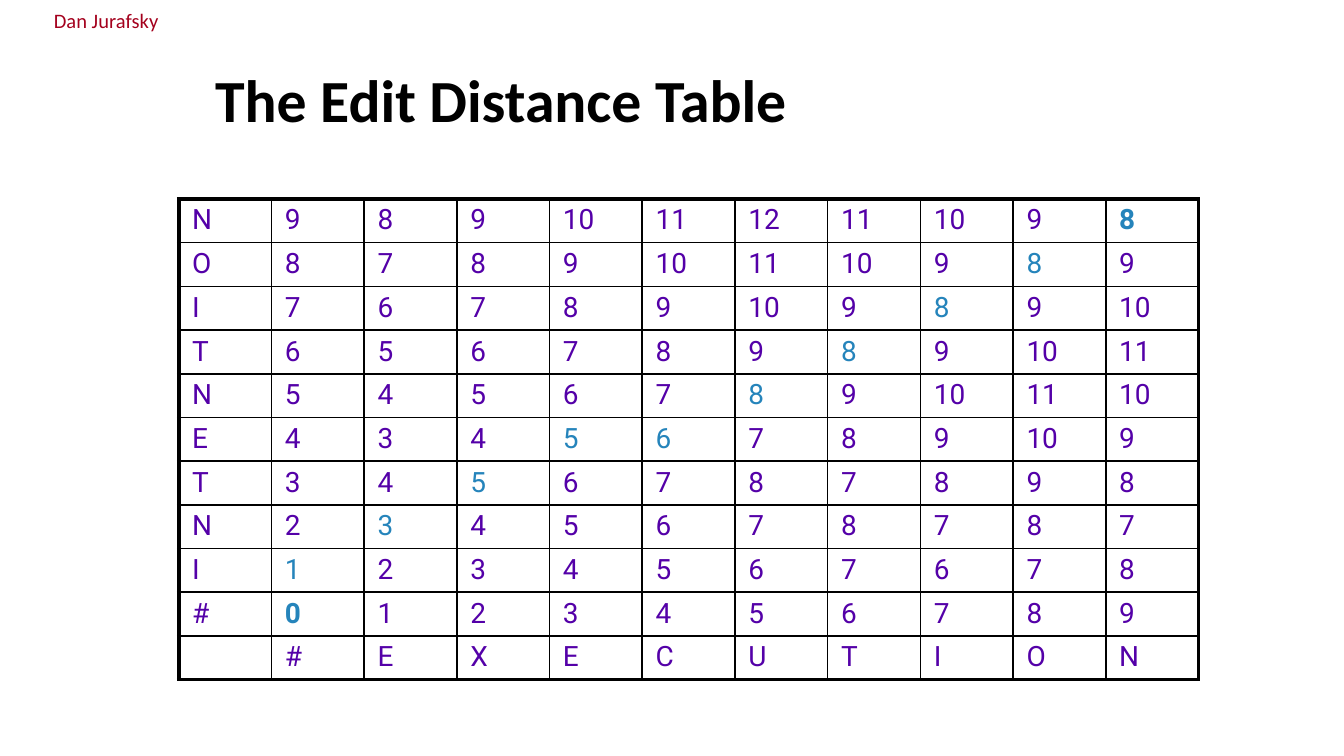
"""Build the slide with the edit distance table of INTENTION and EXECUTION."""
from lxml import etree
from pptx import Presentation
from pptx import util as u
from pptx.dml.color import RGBColor
from pptx.enum import text
from pptx.oxml.ns import qn

COLORS = {"author": "A4001D", "title": "000000", "border": "000000",
          "value": "5400A8", "path": "2584BB"}
WIDTH = u.Inches(10)
HEIGHT = WIDTH * 9 // 16
COLUMN, ROW = u.Inches(0.69), u.Inches(3.58 / 11)
THIN, THICK = u.Pt(1), u.Pt(2.25)
CELL_SIZE = 15

DISTANCES = [
    "N 9 8 9 10 11 12 11 10 9 8",
    "O 8 7 8 9 10 11 10 9 8 9",
    "I 7 6 7 8 9 10 9 8 9 10",
    "T 6 5 6 7 8 9 8 9 10 11",
    "N 5 4 5 6 7 8 9 10 11 10",
    "E 4 3 4 5 6 7 8 9 10 9",
    "T 3 4 5 6 7 8 7 8 9 8",
    "N 2 3 4 5 6 7 8 7 8 7",
    "I 1 2 3 4 5 6 7 6 7 8",
    "# 0 1 2 3 4 5 6 7 8 9",
]
HEADINGS = ["", *"#EXECUTION"]
PATH = {(0, 10), (1, 9), (2, 8), (3, 7), (4, 6), (5, 5), (5, 4),
        (6, 3), (7, 2), (8, 1), (9, 1)}
PATH_ENDS = {(0, 10), (9, 1)}


def add_run(paragraph, wording, font, size, color, bold=False):
    run = paragraph.add_run()
    run.text = wording
    run.font.name, run.font.size, run.font.bold = font, u.Pt(size), bold
    run.font.color.rgb = RGBColor.from_string(COLORS[color])


def add_author(slide):
    box = slide.shapes.add_textbox(u.Inches(0.08), u.Inches(0.01), u.Inches(1.42), u.Inches(0.29))
    frame = box.text_frame
    frame.word_wrap = True
    frame.margin_left = frame.margin_right = 0
    frame.paragraphs[0].alignment = text.PP_ALIGN.CENTER
    add_run(frame.paragraphs[0], "Dan Jurafsky", "Calibri", 11, "author")


def set_title(slide, wording):
    title = slide.shapes.title
    title.left, title.top = u.Inches(1.5), u.Inches(0.42)
    title.width, title.height = u.Inches(8.17), u.Inches(0.81)
    frame = title.text_frame
    frame.auto_size = text.MSO_AUTO_SIZE.NONE
    frame.vertical_anchor = text.MSO_ANCHOR.TOP
    frame.paragraphs[0].alignment = text.PP_ALIGN.LEFT
    add_run(frame.paragraphs[0], wording, "Calibri", 32, "title", bold=True)


def set_borders(cell, outer_sides):
    properties = cell._tc.get_or_add_tcPr()
    for position, side in enumerate("LRTB"):
        width = THICK if side in outer_sides else THIN
        line = etree.Element(qn(f"a:ln{side}"), w=str(int(width)))
        fill = etree.SubElement(line, qn("a:solidFill"))
        etree.SubElement(fill, qn("a:srgbClr"), val=COLORS["border"])
        properties.insert(position, line)


def fill_cell(cell, wording, color, bold):
    cell.fill.background()
    cell.margin_left = cell.margin_right = u.Inches(0.1)
    cell.margin_top = cell.margin_bottom = u.Pt(2.7)
    paragraph = cell.text_frame.paragraphs[0]
    if wording:
        add_run(paragraph, wording, "Roboto", CELL_SIZE, color, bold)
    else:
        etree.SubElement(paragraph._p, qn("a:endParaRPr"), sz=str(CELL_SIZE * 100))


def add_distance_table(slide):
    rows = [line.split() for line in DISTANCES] + [HEADINGS]
    last_row, last_column = len(rows) - 1, len(HEADINGS) - 1
    table = slide.shapes.add_table(len(rows), len(HEADINGS), u.Inches(1.33), u.Inches(1.48),
                                   COLUMN * len(HEADINGS), ROW * len(rows)).table
    table.first_row = table.horz_banding = False
    for column in table.columns:
        column.width = COLUMN
    for r, values in enumerate(rows):
        table.rows[r].height = ROW
        for c, value in enumerate(values):
            cell = table.cell(r, c)
            fill_cell(cell, value, "path" if (r, c) in PATH else "value", (r, c) in PATH_ENDS)
            edges = {"L": c == 0, "R": c == last_column, "T": r == 0, "B": r == last_row}
            set_borders(cell, [side for side, outer in edges.items() if outer])


def main():
    presentation = Presentation()
    presentation.slide_width, presentation.slide_height = WIDTH, HEIGHT
    slide = presentation.slides.add_slide(presentation.slide_layouts[5])
    add_author(slide)
    add_distance_table(slide)
    set_title(slide, "The Edit Distance Table")
    presentation.save("out.pptx")


if __name__ == "__main__":
    main()
